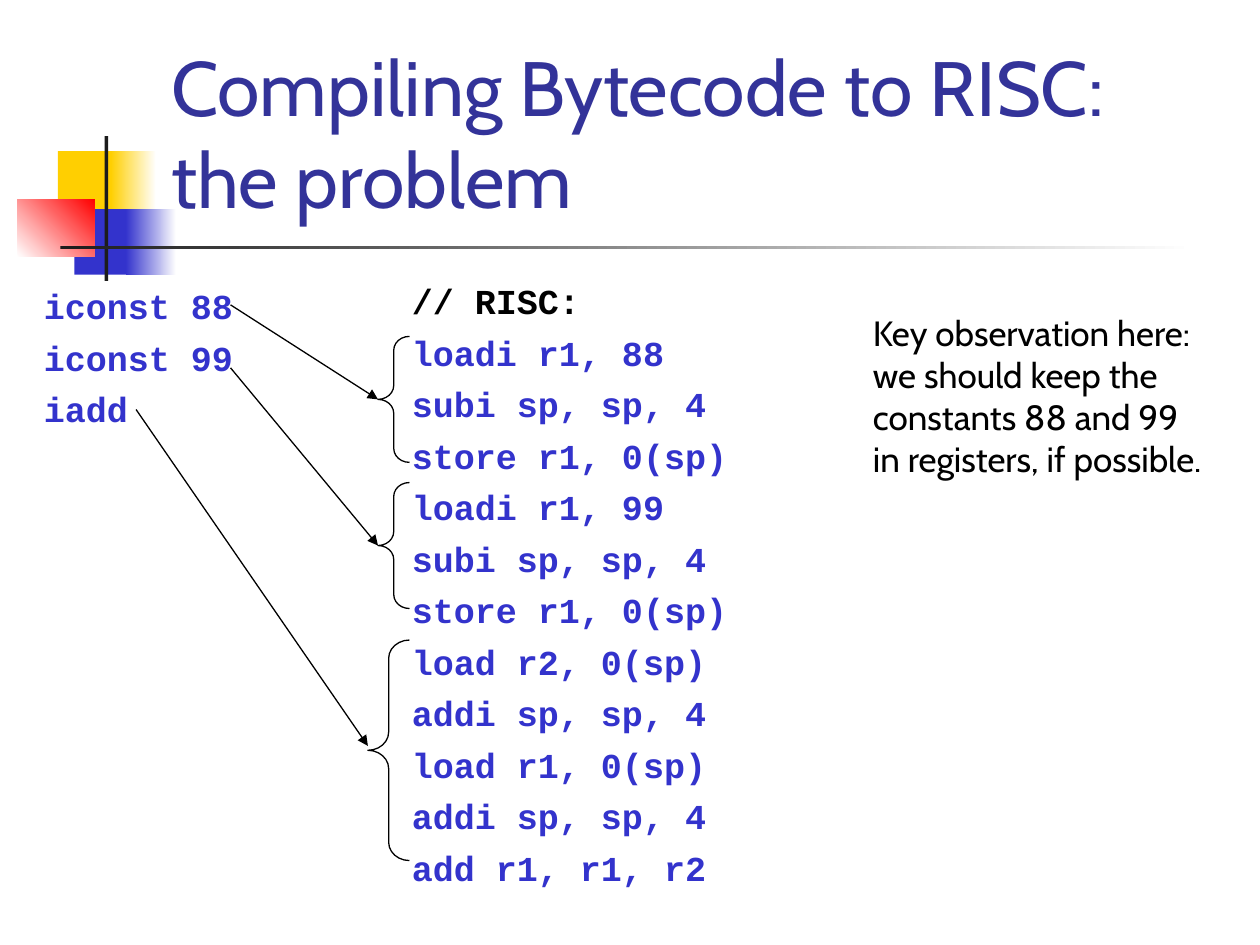
import pptx
import pptx.util
import pptx.dml.color
import pptx.enum.shapes
import pptx.enum.text
import pptx.oxml.ns
import lxml.etree

Inches = pptx.util.Inches
Pt = pptx.util.Pt
BLUE = "3333CC"
BLACK = "000000"


def color(hex_string):
    return pptx.dml.color.RGBColor.from_string(hex_string)


def add_text(box, lines, font_name, size, colors, bold=False, space=0, indent=0):
    text_box = slide.shapes.add_textbox(*[Inches(value) for value in box])
    text_frame = text_box.text_frame
    text_frame.word_wrap = True
    text_frame.text = "\n".join(lines)
    for index, paragraph in enumerate(text_frame.paragraphs):
        if indent:
            properties = paragraph._p.get_or_add_pPr()
            properties.set("marL", str(Inches(indent)))
            properties.set("indent", str(-Inches(indent)))
        if index and space:
            paragraph.space_before = Pt(space)
        font = paragraph.runs[0].font
        font.name = font_name
        font.size = Pt(size)
        font.bold = bold
        font.color.rgb = color(colors[min(index, len(colors) - 1)])
    return text_frame


presentation = pptx.Presentation()
presentation.slide_width = Inches(10)
presentation.slide_height = Inches(7.5)
slide = presentation.slides.add_slide(presentation.slide_layouts[6])

decorations = [
    ((0.46, 1.2, 0.48, 0.52), ["FFCF01"], 0),
    ((0.88, 1.2, 0.36, 0.52), ["FFCF01", "FFFFFF"], 0),
    ((0.59, 1.66, 0.46, 0.52), [BLUE], 0),
    ((1, 1.66, 0.4, 0.52), [BLUE, "FFFFFF"], 0),
    ((0.14, 1.58, 0.61, 0.46), ["FFFFFF", "FF0000"], 45),
    ((0.83, 1.08, 0.03, 1.15), ["1C1C1C"], 0),
    ((0.48, 1.95, 9, 0.03), ["1C1C1C", "FFFFFF"], 0),
]
for box, fill_colors, angle in decorations:
    shape = slide.shapes.add_shape(
        pptx.enum.shapes.MSO_SHAPE.RECTANGLE, *[Inches(value) for value in box])
    shape.shadow.inherit = False
    shape.line.fill.background()
    if len(fill_colors) == 1:
        shape.fill.solid()
        shape.fill.fore_color.rgb = color(fill_colors[0])
    else:
        shape.fill.gradient()
        shape.fill.gradient_angle = angle
        for stop, fill_color in zip(shape.fill.gradient_stops, fill_colors):
            stop.color.rgb = color(fill_color)

title_frame = add_text((1.26, 0.23, 8.52, 1.6),
                       ["Compiling Bytecode to RISC: the problem"],
                       "Cabin", 44, ["333399"])
title_frame.vertical_anchor = pptx.enum.text.MSO_ANCHOR.BOTTOM

bytecode = ["iconst 88", "iconst 99", "iadd"]
risc_code = [
    "// RISC:",
    "loadi r1, 88",
    "subi sp, sp, 4",
    "store r1, 0(sp)",
    "loadi r1, 99",
    "subi sp, sp, 4",
    "store r1, 0(sp)",
    "load r2, 0(sp)",
    "addi sp, sp, 4",
    "load r1, 0(sp)",
    "addi sp, sp, 4",
    "add r1, r1, r2",
]
add_text((0.25, 2.21, 2.5, 4.5), bytecode, "Courier New", 20, [BLUE],
         bold=True, space=5.4, indent=0.38)
add_text((3.17, 2.17, 3.17, 4.5), risc_code, "Courier New", 20, [BLACK, BLUE],
         bold=True, space=5.4, indent=0.38)
add_text((6.83, 2.42, 2.83, 1.78),
         ["Key observation here:",
          "we should keep the constants 88 and 99 in registers, if possible."],
         "Cabin", 20, [BLACK])

translations = [
    ((3, 2.67, 0.25, 1), (1.83, 2.42, 3, 3.17)),
    ((3, 3.83, 0.25, 1), (1.83, 2.92, 3, 4.33)),
    ((2.92, 5.08, 0.33, 1.75), (1.08, 3.25, 2.92, 5.92)),
]
for brace_box, arrow_ends in translations:
    brace = slide.shapes.add_shape(
        pptx.enum.shapes.MSO_SHAPE.LEFT_BRACE, *[Inches(value) for value in brace_box])
    brace.shadow.inherit = False
    brace.adjustments[0] = 0.44
    brace.fill.background()
    arrow = slide.shapes.add_connector(
        pptx.enum.shapes.MSO_CONNECTOR.STRAIGHT, *[Inches(value) for value in arrow_ends])
    for shape in (brace, arrow):
        shape.line.color.rgb = color(BLACK)
        shape.line.width = Pt(0.75)
    lxml.etree.SubElement(arrow.line._get_or_add_ln(),
                          pptx.oxml.ns.qn("a:tailEnd"), type="triangle")
    lxml.etree.SubElement(arrow._element.spPr, pptx.oxml.ns.qn("a:effectLst"))

presentation.save("out.pptx")
